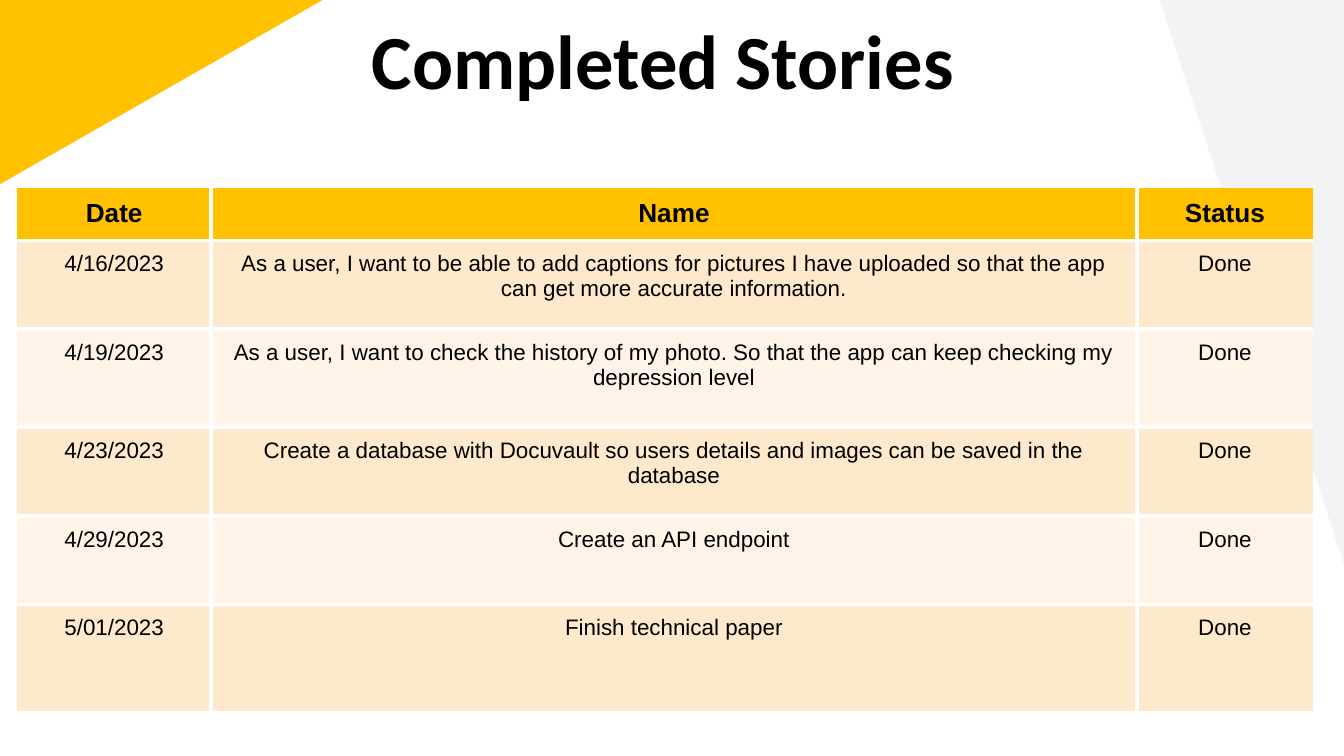
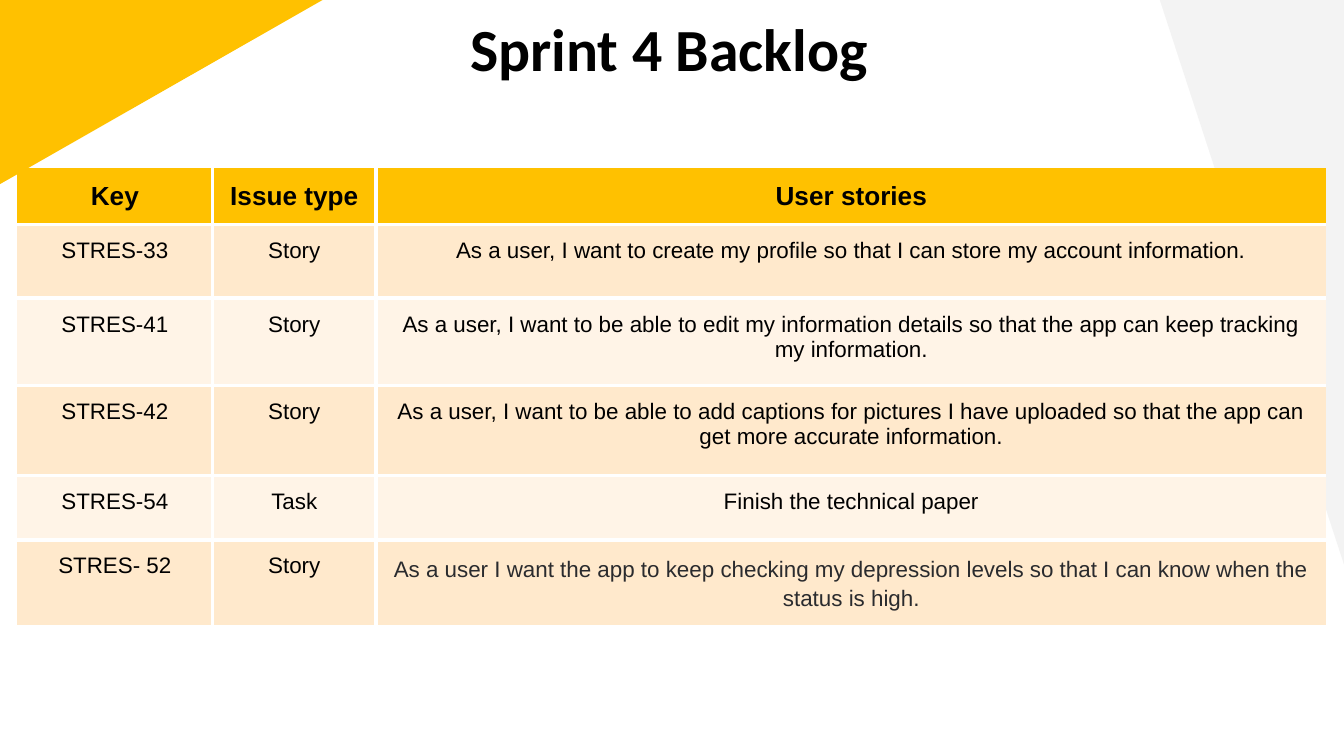
"""Build two sprint slides, each a titled table on a shared backdrop."""
from lxml.etree import SubElement as Sub
from pptx import Presentation
from pptx.dml.color import RGBColor as RGB
from pptx.enum.shapes import MSO_SHAPE as Shape
from pptx.enum.text import MSO_ANCHOR as Anchor, PP_ALIGN as Align
from pptx.oxml.ns import qn
from pptx.util import Inches as In, Pt

WIDE = 10
HIGH = WIDE * 9 / 16
INK = {"gold": "FFC100", "grey": "F3F3F3", "dark": "FFE9CC", "pale": "FFF4E7",
       "text": "000000", "soft": "2A2B2E", "rule": "FFFFFF"}
RULE = 2.25
DEEP = 1.37

SLIDES = [
    {"title": "Completed Stories ", "size": 41, "spot": (0.57, 0),
     "top": 1.4, "inset": 0.08,
     "cols": [1.44, 6.89, 1.31],
     "rows": [0.39, 0.66, 0.73, 0.66, 0.66, 0.79],
     "cells": [
         ("Date", "Name", "Status"),
         ("4/16/2023", "As a user, I want to be able to add captions for pictures I have "
          "uploaded so that the app can get more accurate information.", "Done"),
         ("4/19/2023", "As a user, I want to check the history of my photo. So that the app "
          "can keep checking my depression level", "Done"),
         ("4/23/2023", "Create a database with Docuvault so users details and images can be "
          "saved in the database", "Done"),
         ("4/29/2023", "Create an API endpoint", "Done"),
         ("5/01/2023", "Finish technical paper", "Done")],
     "loose": None},
    {"title": "Sprint 4 Backlog", "size": 32, "spot": (0.55, -0.01),
     "top": 1.25, "inset": 0.1,
     "cols": [1.45, 1.22, 7.07],
     "rows": [0.42, 0.55, 0.65, 0.67, 0.48, 0.63],
     "cells": [
         ("Key", "Issue type", "User stories"),
         ("STRES-33", "Story", "As a user, I want to create my profile so that I can store "
          "my account information."),
         ("STRES-41", "Story", "As a user, I want to be able to edit my information details "
          "so that the app can keep tracking my information."),
         ("STRES-42", "Story", "As a user, I want to be able to add captions for pictures I "
          "have uploaded so that the app can get more accurate information."),
         ("STRES-54", "Task", "Finish the technical paper"),
         ("STRES- 52", "Story", "As a user I want the app to keep checking my depression "
          "levels so that I can know when the status is high.")],
     "loose": (5, 2)},
]


def tint(name):
    return RGB.from_string(INK[name])


def style(para, face, size, bold, ink="text"):
    para.alignment = Align.CENTER
    for run in para.runs:
        font = run.font
        font.name, font.size, font.bold = face, Pt(size), bold
        font.color.rgb = tint(ink)


def add_wedge(slide, layout, mid, wide, turn, ink):
    """Draw a corner triangle and hand it to the layout."""
    wedge = slide.shapes.add_shape(Shape.RIGHT_TRIANGLE, In(mid[0] - wide / 2),
                                   In(mid[1] - DEEP / 2), In(wide), In(DEEP))
    wedge.rotation = turn
    wedge.element.spPr.find(qn("a:xfrm")).set("flipH", "1")
    wedge.shadow.inherit = False
    wedge.fill.solid()
    wedge.fill.fore_color.rgb = tint(ink)
    wedge.line.fill.background()
    layout.shapes.element.insert(2, wedge.element)


def add_rules(cell, sides):
    """Draw white rules on inner sides and none on outer ones."""
    props = cell._tc.get_or_add_tcPr()
    for side, inner in sides.items():
        line = Sub(props, qn("a:ln" + side), w=str(Pt(RULE)))
        if inner:
            fill = Sub(line, qn("a:solidFill"))
            Sub(fill, qn("a:srgbClr"), val=INK["rule"])
        else:
            Sub(line, qn("a:noFill"))


def add_grid(slide, data):
    cols, rows = data["cols"], data["rows"]
    grid = slide.shapes.add_table(len(rows), len(cols), In(0.13), In(data["top"]),
                                  In(sum(cols)), In(sum(rows))).table
    for col, wide in zip(grid.columns, cols):
        col.width = In(wide)
    for row, high in zip(grid.rows, rows):
        row.height = In(high)
    for r, words in enumerate(data["cells"]):
        for c, word in enumerate(words):
            cell = grid.cell(r, c)
            add_rules(cell, {"L": c > 0, "R": c < len(cols) - 1,
                             "T": r > 0, "B": r < len(rows) - 1})
            cell.fill.solid()
            cell.fill.fore_color.rgb = tint("gold" if r == 0 else "dark" if r % 2 else "pale")
            cell.margin_left = cell.margin_right = In(data["inset"])
            cell.margin_top = cell.margin_bottom = In(data["inset"])
            cell.text_frame.text = word
            para = cell.text_frame.paragraphs[0]
            loose = (r, c) == data["loose"]
            if loose:
                para.line_spacing = 1.15
            style(para, "Arial", 12 if r else 14, r == 0, "soft" if loose else "text")


def add_title(slide, data):
    title = slide.shapes.title
    left, top = data["spot"]
    title.left, title.top, title.width, title.height = In(left), In(top), In(8.86), In(0.76)
    frame = title.text_frame
    frame.text = data["title"]
    frame.vertical_anchor = Anchor.TOP
    frame.margin_left = frame.margin_right = In(0.1)
    frame.margin_top = frame.margin_bottom = In(0.1)
    style(frame.paragraphs[0], "Calibri", data["size"], True)


def main():
    deck = Presentation()
    deck.slide_width, deck.slide_height = In(WIDE), In(HIGH)
    layout = deck.slide_layouts[5]
    for n, data in enumerate(SLIDES):
        slide = deck.slides.add_slide(layout)
        if n == 0:
            add_wedge(slide, layout, (1.2, DEEP / 2), 2.4, 180, "gold")
            add_wedge(slide, layout, (WIDE - DEEP / 2, 2.1), 4.2, 270, "grey")
        add_title(slide, data)
        add_grid(slide, data)
    deck.save("out.pptx")


if __name__ == "__main__":
    main()
